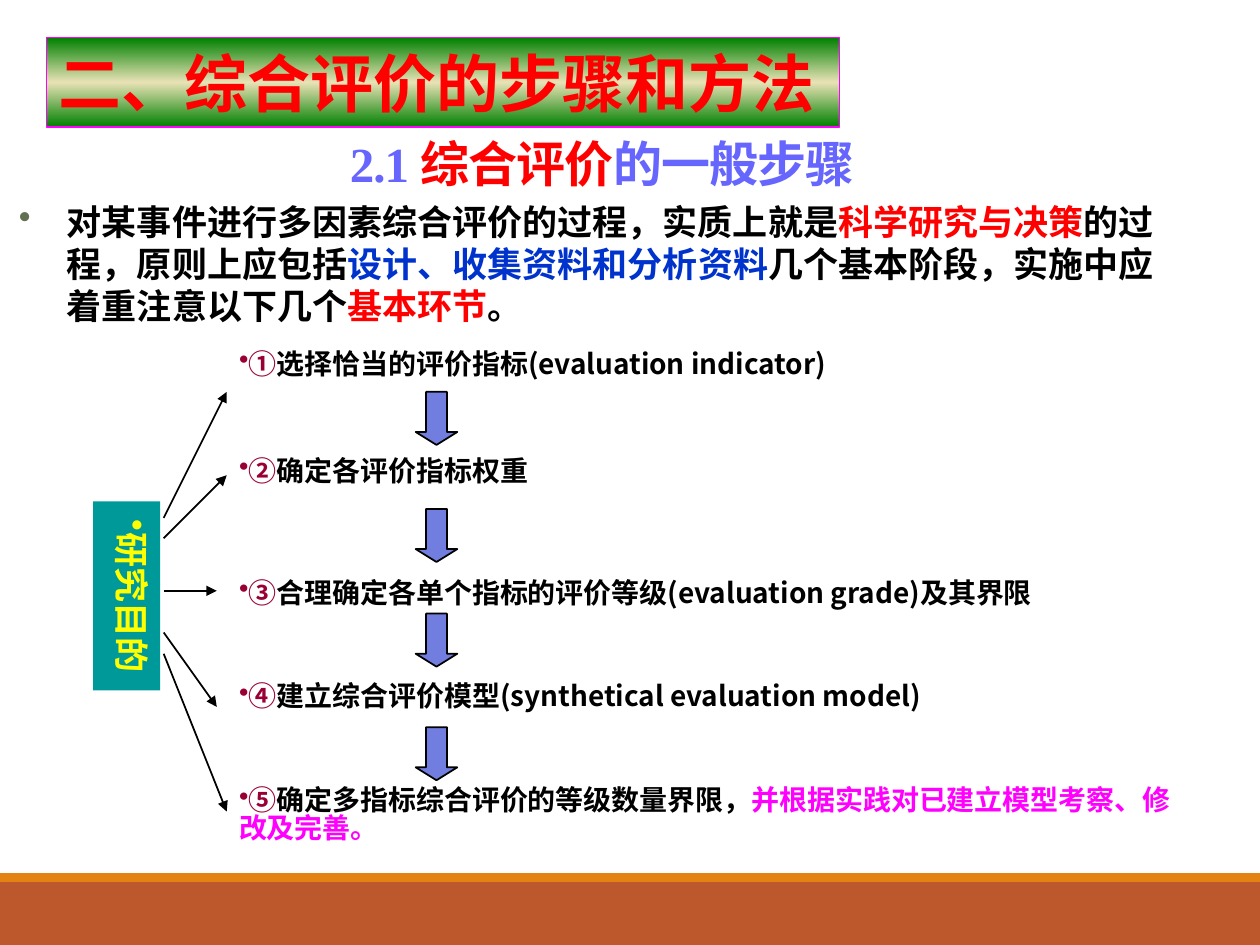
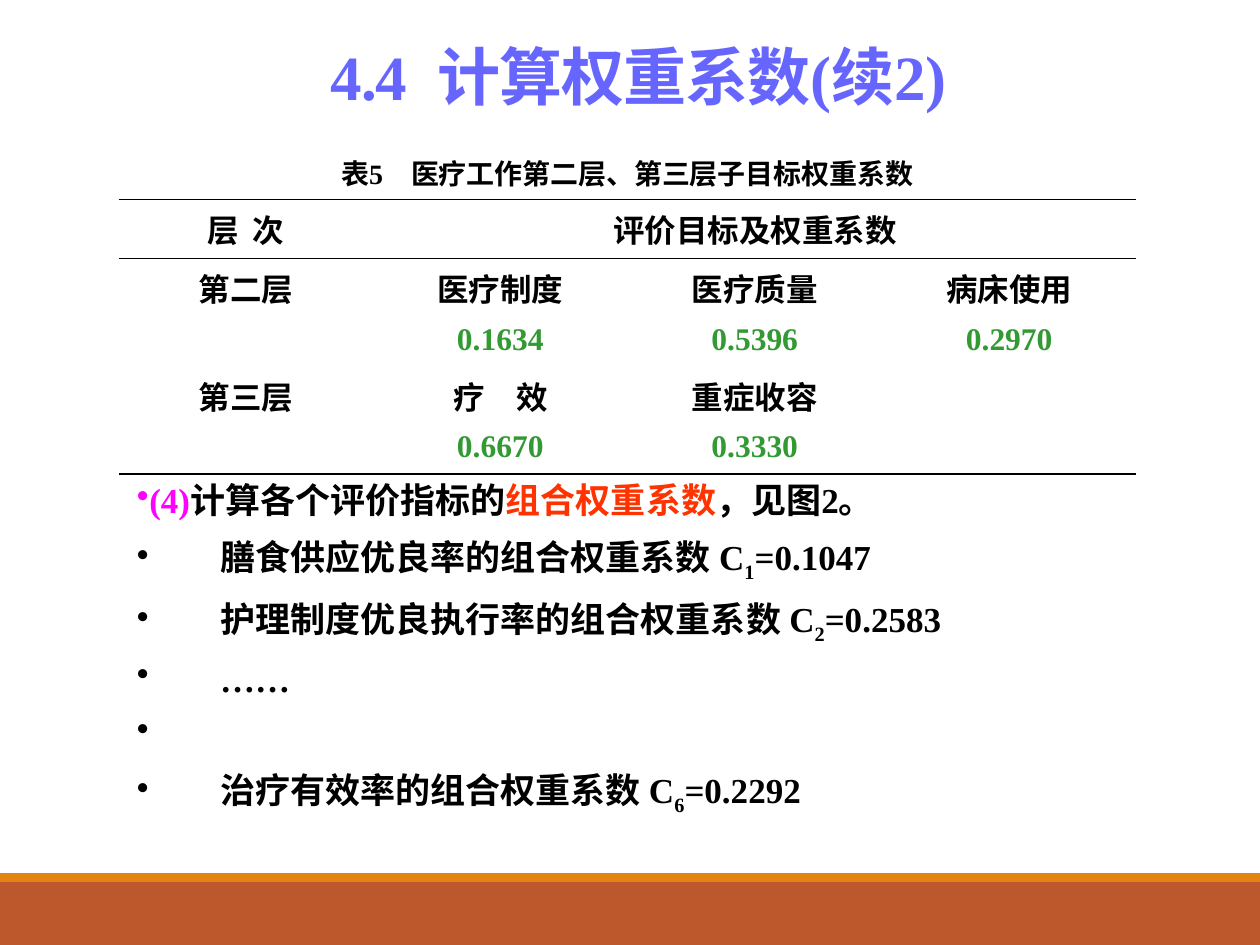
from dataclasses import dataclass
from typing import Any, NamedTuple

from lxml.etree import SubElement as Sub
from pptx import Presentation
from pptx.dml.color import RGBColor as Rgb
from pptx.enum.shapes import MSO_CONNECTOR as Link, MSO_SHAPE as Kind
from pptx.enum.text import MSO_ANCHOR as Anchor, PP_ALIGN as Align
from pptx.oxml import parse_xml
from pptx.oxml.ns import nsdecls, qn
from pptx.util import Cm, Pt


# Theme: colours, fonts and type sizes
@dataclass(frozen=True)
class Theme:
    rust: str = "BD582C"
    amber: str = "E48312"
    violet: str = "6666FF"
    red: str = "FF0000"
    blue: str = "0033CC"
    wine: str = "990033"
    pink: str = "FF00FF"
    orange: str = "FF3300"
    leaf: str = "339933"
    moss: str = "637052"
    teal: str = "009999"
    yellow: str = "FFFF00"
    arrow: str = "727DE0"
    green: str = "008000"
    cream: str = "E9E2B6"
    black: str = "000000"
    serif: str = "Times New Roman"
    sans: str = "Noto Sans CJK SC"
    big: int = 36
    head: int = 28
    body: int = 20
    cell: int = 18
    note: int = 16


T = Theme()


# Parts: lengths in centimetres
class Box(NamedTuple):
    left: float
    top: float
    width: float
    height: float


class Run(NamedTuple):
    text: str
    color: str = T.black
    font: str = T.serif
    sub: bool = False


class Step(NamedTuple):
    top: float
    width: float
    height: float
    runs: list[Run]


class Ray(NamedTuple):
    start: float
    tip: float
    end: float


def cms(vals: tuple) -> list:
    return [Cm(v) for v in vals]


def apply(obj: Any, vals: dict[str, Any]) -> None:
    for name, val in vals.items():
        setattr(obj, name, val)


# Text
def write(par: Any, runs: list[Run], size: int, track: int = 0, **form: Any) -> None:
    apply(par, form)
    for item in runs:
        run = par.add_run()
        run.text = item.text
        apply(run.font, {"name": item.font, "size": Pt(size), "bold": True})
        run.font.color.rgb = Rgb.from_string(item.color)
        props = run.font._element
        if track:
            props.set("spc", str(track))
        if item.sub:
            props.set("baseline", "-25000")


def bullet(par: Any, hang: float = 0, color: str = "") -> None:
    props = par._p.get_or_add_pPr()
    props.set("marL", str(Cm(hang)))
    props.set("indent", str(-Cm(hang)))
    if color:
        Sub(Sub(props, qn("a:buClr")), qn("a:srgbClr"), val=color)
    Sub(props, qn("a:buChar"), char="•")


def text_box(slide: Any, box: Box, **form: Any) -> Any:
    frame = slide.shapes.add_textbox(*cms(box)).text_frame
    apply(frame, {"word_wrap": True, **form})
    return frame


def title(slide: Any, box: Box, runs: list[Run], size: int) -> None:
    frame = text_box(slide, box, vertical_anchor=Anchor.MIDDLE)
    write(frame.paragraphs[0], runs, size, track=-50, alignment=Align.CENTER)


# Shapes
def shape(slide: Any, kind: Kind, box: Box, fill: str = "", line: str = "", width: float = 1) -> Any:
    item = slide.shapes.add_shape(kind, *cms(box))
    item.shadow.inherit = False
    if fill:
        item.fill.solid()
        item.fill.fore_color.rgb = Rgb.from_string(fill)
    if line:
        item.line.color.rgb = Rgb.from_string(line)
        item.line.width = Pt(width)
    else:
        item.line.fill.background()
    item.text_frame.word_wrap = True
    return item


def arrow(slide: Any, x1: float, y1: float, x2: float, y2: float) -> None:
    item = slide.shapes.add_connector(Link.STRAIGHT, *cms((x1, y1, x2, y2)))
    item.line.color.rgb = Rgb.from_string(T.black)
    item.line.width = Pt(1)
    Sub(item.line._get_or_add_ln(), qn("a:tailEnd"), type="triangle")
    Sub(item._element.spPr, qn("a:effectLst"))


def blend(item: Any, colors: list[str]) -> None:
    item.fill.gradient()
    item.fill.gradient_angle = 90
    stops = item._element.spPr.find(".//" + qn("a:gsLst"))
    for old in list(stops):
        stops.remove(old)
    for num, color in enumerate(colors):
        stop = Sub(stops, qn("a:gs"), pos=str(100000 * num // (len(colors) - 1)))
        Sub(stop, qn("a:srgbClr"), val=color)


def rule(cell: Any) -> None:
    cell._tc.get_or_add_tcPr().insert(0, parse_xml(
        f'<a:lnB {nsdecls("a")} w="{Pt(1)}"><a:solidFill>'
        f'<a:srgbClr val="{T.black}"/></a:solidFill></a:lnB>'))


def new_slide(deck: Any) -> Any:
    slide = deck.slides.add_slide(deck.slide_layouts[6])
    shape(slide, Kind.RECTANGLE, Box(0, 17.78, 25.4, 1.27), T.rust)
    shape(slide, Kind.RECTANGLE, Box(0, 17.6, 25.4, 0.18), T.amber)
    return slide


# Slide 1: general steps
def mark(sign: str, text: str) -> list[Run]:
    return [Run(sign, T.wine, T.sans), Run(text, font=T.sans)]


STEPS = [
    Step(6.86, 16.51, 0.94, mark("①", "选择恰当的评价指标(evaluation indicator)")),
    Step(9.02, 9.96, 0.94, mark("②", "确定各评价指标权重")),
    Step(11.48, 17.53, 0.94, mark("③", "合理确定各单个指标的评价等级(evaluation grade)及其界限")),
    Step(13.56, 15.88, 0.94, mark("④", "建立综合评价模型(synthetical evaluation model)")),
    Step(15.77, 19.3, 1.75, mark("⑤", "确定多指标综合评价的等级数量界限，")
         + [Run("并根据实践对已建立模型考察、修改及完善。", T.pink, T.sans)]),
]
DROPS = [7.9, 10.26, 12.37, 14.66]
RAYS = [Ray(10.44, 4.57, 7.9), Ray(10.85, 4.57, 9.58), Ray(11.91, 4.37, 11.91),
        Ray(12.75, 4.37, 14.25), Ray(13.18, 4.57, 16.36)]
INTRO = [
    Run("对某事件进行多因素综合评价的过程，实质上就是"),
    Run("科学研究与决策", T.red, T.sans),
    Run("的过程，原则上应包括"),
    Run("设计、收集资料和分析资料", T.blue),
    Run("几个基本阶段，实施中应着重注意以下几个"),
    Run("基本环节", T.red),
    Run("。"),
]


def steps_slide(deck: Any) -> None:
    slide = new_slide(deck)
    title(slide, Box(2.08, 2.01, 20.12, 2.54), [
        Run("2.1 ", T.violet), Run("综合评价", T.red), Run("的一般步骤", T.violet)], T.head)

    par = text_box(slide, Box(0.38, 3.91, 23.55, 2.97), margin_left=0, margin_right=0).paragraphs[0]
    write(par, INTRO, T.body, line_spacing=Pt(24))
    bullet(par, 0.97, T.moss)

    # Steps, with arrows down and from the goal
    for step in STEPS:
        par = text_box(slide, Box(4.57, *step[:3])).paragraphs[0]
        write(par, step.runs, T.note, line_spacing=Pt(16) if step.height > 1 else None)
        bullet(par)
    for top in DROPS:
        drop = shape(slide, Kind.DOWN_ARROW, Box(8.38, top, 0.84, 1.07), T.arrow, T.black)
        drop.adjustments[1] = 0.31
    for ray in RAYS:
        arrow(slide, 3.3, *ray)

    goal = shape(slide, Kind.RECTANGLE, Box(1.88, 10.11, 1.35, 3.81), T.teal).text_frame
    goal.vertical_anchor = Anchor.TOP
    goal._txBody.bodyPr.set("vert", "vert")
    write(goal.paragraphs[0], [Run("研究目的", T.yellow)], T.body, alignment=Align.CENTER)
    bullet(goal.paragraphs[0])

    # Chapter banner
    banner = shape(slide, Kind.RECTANGLE, Box(0.94, 0.76, 15.98, 1.8), line=T.pink, width=0.75)
    blend(banner, [T.green, T.cream, T.green])
    write(banner.text_frame.paragraphs[0], [
        Run("二、", T.red), Run("综合评价的步骤和方法", T.red, T.sans)], T.big, alignment=Align.LEFT)


# Slide 2: weights
ROWS = [
    ["表5　医疗工作第二层、第三层子目标权重系数", "", "", ""],
    ["层  次", "评价目标及权重系数", "", ""],
    ["第二层", "医疗制度", "医疗质量", "病床使用"],
    ["", "0.1634", "0.5396", "0.2970"],
    ["第三层", "疗　效", "重症收容", ""],
    ["", "0.6670", "0.3330", ""],
]
TALL = [1.07, 1.19, 1.17, 0.97, 1.14, 0.97]
RULED = {0, 1, 5}
PLAIN = "{2D5ABB26-0587-4C30-8999-92F81FD0307C}"


def weight(name: str, num: str, val: str) -> list[Run]:
    return [Run(f"{name}的组合权重系数 C"), Run(num, sub=True), Run(f"={val}")]


LINES = [
    [Run("(4)", T.pink), Run("计算各个评价指标的"), Run("组合权重系数", T.orange), Run("，见图2。")],
    weight("膳食供应优良率", "1", "0.1047"),
    weight("护理制度优良执行率", "2", "0.2583"),
    [Run("……")],
    [Run(" ")],
    weight("治疗有效率", "6", "0.2292"),
]


def weight_table(slide: Any) -> None:
    frame = slide.shapes.add_table(len(ROWS), 4, *cms((2.39, 2.95, 20.52, sum(TALL))))
    table = frame.table
    apply(table, {"first_row": False, "horz_banding": False})
    table._tbl.tblPr.find(qn("a:tableStyleId")).text = PLAIN
    table.cell(0, 0).merge(table.cell(0, 3))
    table.cell(1, 1).merge(table.cell(1, 3))
    for r, row in enumerate(ROWS):
        table.rows[r].height = Cm(TALL[r])
        for c, text in enumerate(row):
            cell = table.cell(r, c)
            cell.fill.background()
            color = T.leaf if text.startswith("0.") else T.black
            write(cell.text_frame.paragraphs[0], [Run(text, color)],
                  T.cell if r else T.note, alignment=Align.CENTER)
            if r in RULED:
                rule(cell)


def weights_slide(deck: Any) -> None:
    slide = new_slide(deck)
    title(slide, Box(2.39, 0.25, 20.96, 2.54), [Run("4.4  计算权重系数(续2)", T.violet)], T.big)
    weight_table(slide)
    frame = text_box(slide, Box(2.51, 9.53, 17.58, 6.6))
    for num, runs in enumerate(LINES):
        par = frame.add_paragraph() if num else frame.paragraphs[0]
        write(par, runs, T.body, line_spacing=1.3 if num else None)
        bullet(par, 1.68 if num else 0)


def main() -> None:
    deck = Presentation()
    apply(deck, {"slide_width": Cm(25.4), "slide_height": Cm(19.05)})
    steps_slide(deck)
    weights_slide(deck)
    deck.save("out.pptx")


if __name__ == "__main__":
    main()
